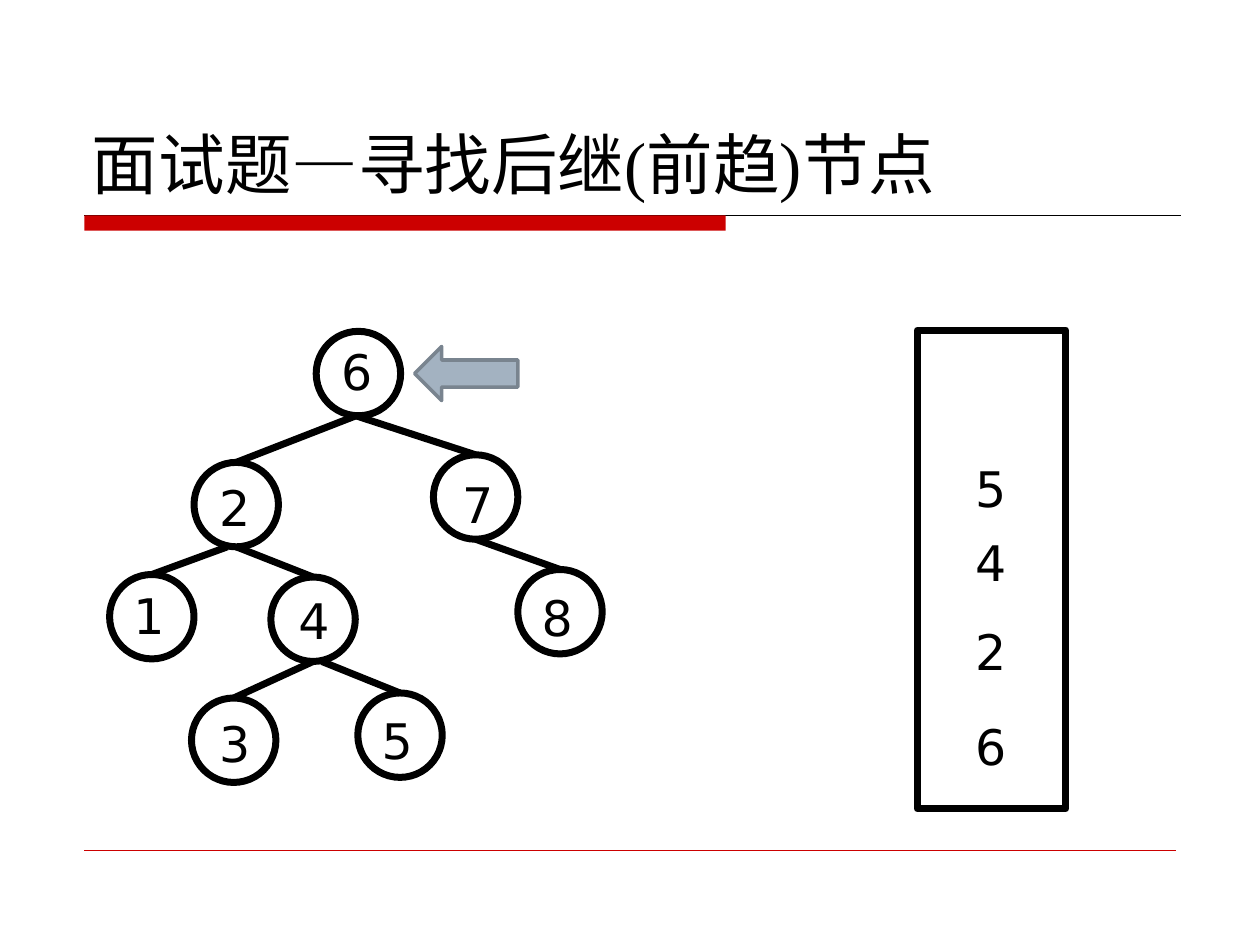
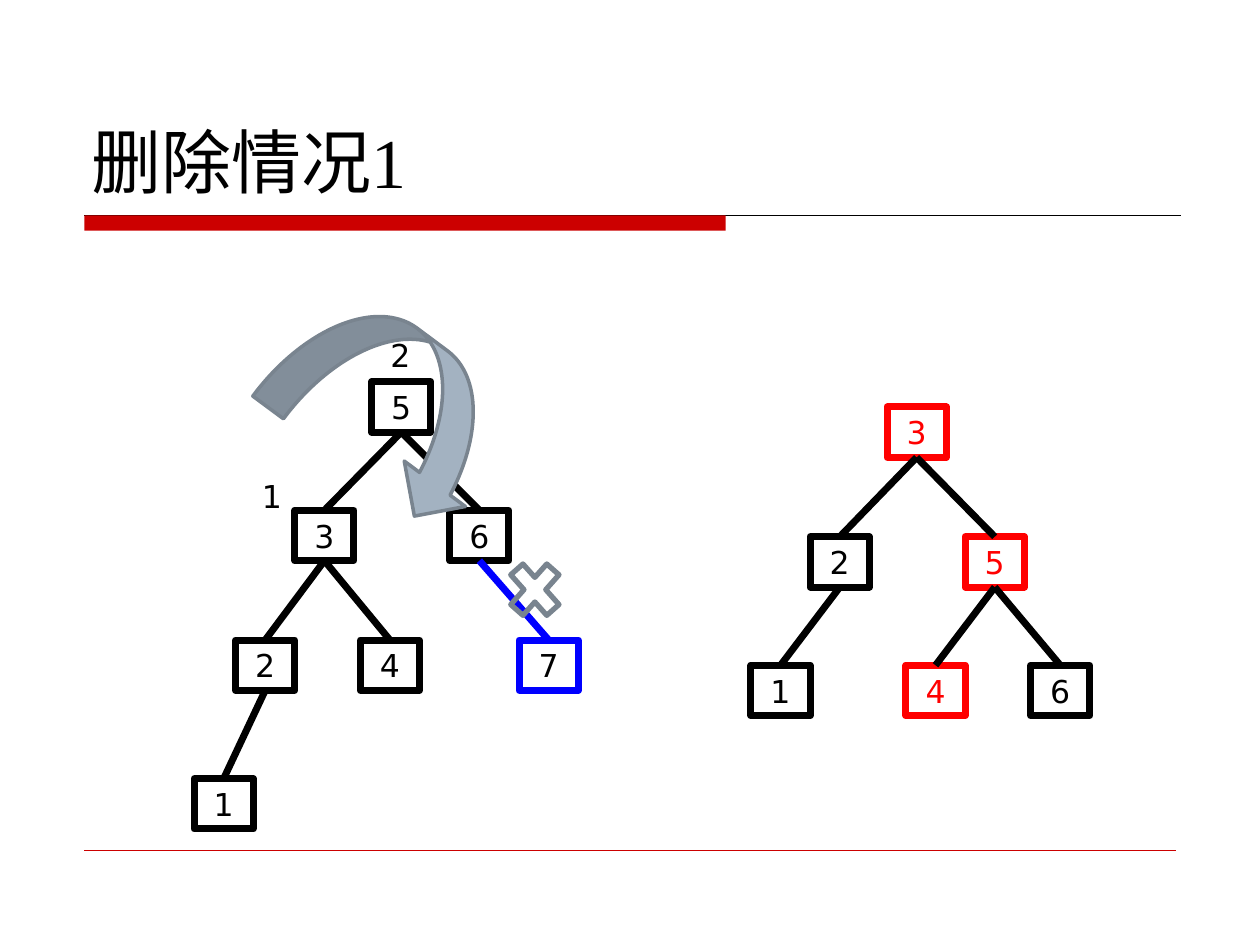
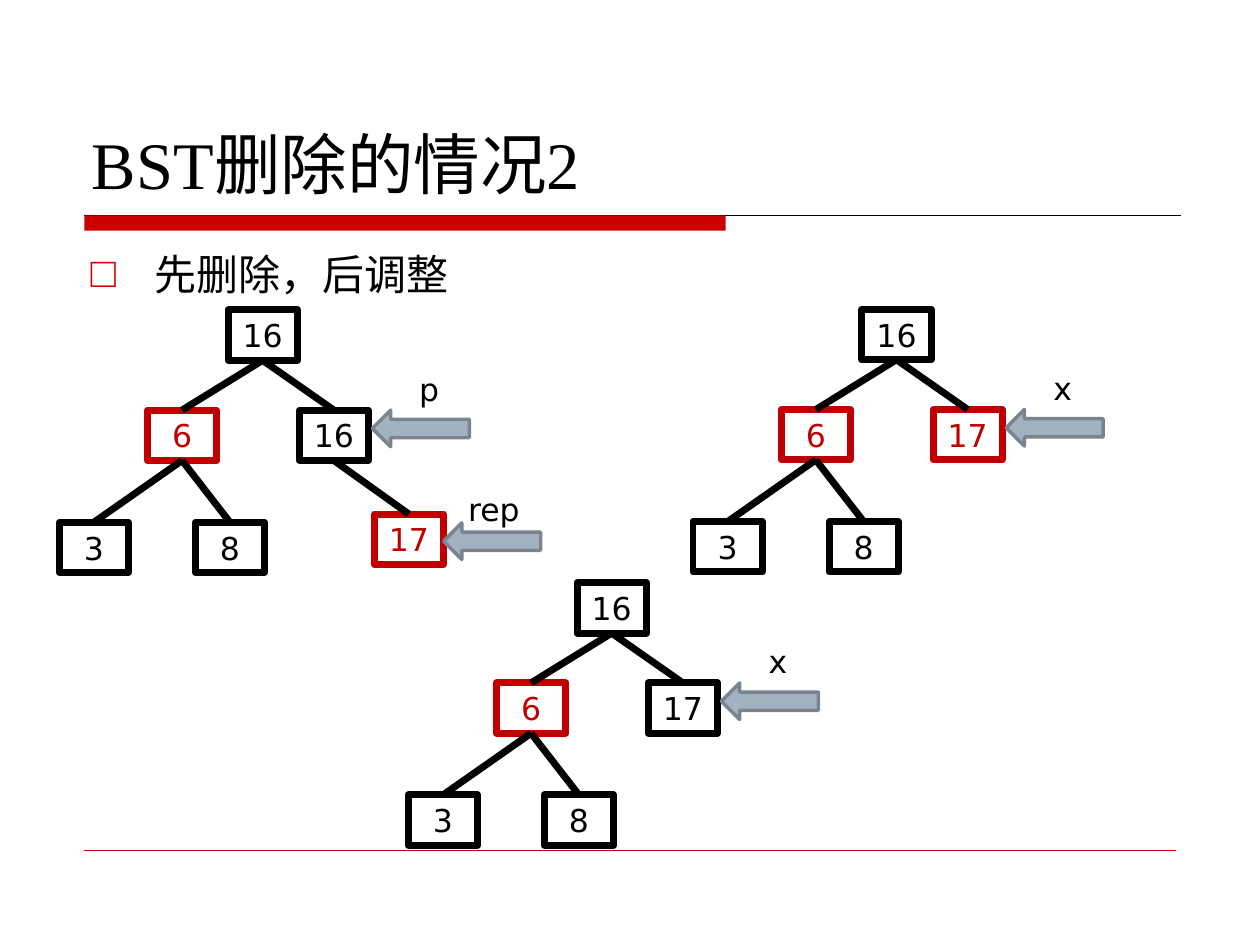
from dataclasses import dataclass
from typing import Optional

from lxml import etree
from pptx import Presentation
from pptx import util as u
from pptx.dml.color import RGBColor
from pptx.enum import shapes, text
from pptx.oxml.ns import qn

COLORS = {
    "black": "000000",
    "band": "CC0000",
    "crimson": "C00000",
    "red": "FF0000",
    "blue": "0000FF",
    "steel": "A3B2C1",
    "slate": "79848F",
}
TITLE_FONT = "Times New Roman"
LABEL_FONT = "DejaVu Sans"
SLIDE_WIDTH = u.Inches(10)
SLIDE_HEIGHT = u.Inches(7.5)
COLUMN = SLIDE_WIDTH / 100
ROW = SLIDE_HEIGHT / 75
SHAPE = shapes.MSO_SHAPE


@dataclass(frozen=True)
class Box:
    column: float
    row: float
    columns: float
    rows: float

    def lengths(self) -> tuple:
        return (round(self.column * COLUMN), round(self.row * ROW),
                round(self.columns * COLUMN), round(self.rows * ROW))


@dataclass(frozen=True)
class Node:
    label: str
    column: float
    row: float
    parent: Optional[int] = None
    color: str = "black"
    ink: str = "black"
    edge: str = "black"
    label_column: float = 0
    label_row: float = 0
    stem: float = 0


@dataclass(frozen=True)
class Pointer:
    label: str
    column: float
    row: float
    label_column: float = 2.1
    label_row: float = -3.7
    label_columns: float = 4.8


@dataclass(frozen=True)
class BoxTree:
    column: float
    row: float
    columns: float
    nodes: tuple
    pointers: tuple = ()


TITLE_BOX = Box(6.3, 3.3, 87.5, 13.3)
BODY_BOX = Box(6.2, 19.2, 87.5, 46.7)
BAND_BOX = Box(6.7, 17.1, 50.9, 1.2)
CIRCLE_SIZE = 6.7
BOX_ROWS = 4

CIRCLE_NODES = (
    Node("6", 25.1, 26.3, label_column=1, label_row=0.3),
    Node("2", 15.4, 36.7, 0, label_column=1, label_row=0.7, stem=-0.2),
    Node("1", 8.7, 45.6, 1, label_column=0.9, label_row=0.4, stem=-0.7),
    Node("4", 21.5, 45.8, 1, label_column=1.2, label_row=0.6),
    Node("3", 15.2, 55.4, 3, label_column=1.2, label_row=0.7),
    Node("5", 28.4, 55, 3, label_column=0.9, label_row=0.9, stem=0.7),
    Node("7", 34.4, 36.1, 0, label_column=1.3, label_row=1.1, stem=-0.2),
    Node("8", 41.1, 45.2, 6, label_column=0.9, label_row=0.9),
)
STACK_ROWS = {"6": 56.4, "2": 48.8, "4": 41.8, "5": 35.9}

UNBALANCED_TREE = BoxTree(29.5, 30.3, 4.7, (
    Node("5", 0, 0),
    Node("3", -6.1, 10.2, 0),
    Node("6", 6.2, 10.2, 0),
    Node("2", -10.8, 20.5, 1),
    Node("4", -0.9, 20.5, 1),
    Node("1", -14.1, 31.5, 3),
    Node("7", 11.7, 20.5, 2, color="blue", edge="blue"),
))
ROTATED_TREE = BoxTree(70.4, 32.3, 4.7, (
    Node("3", 0, 0, color="red", ink="red"),
    Node("2", -6.1, 10.3, 0),
    Node("5", 6.2, 10.3, 0, color="red", ink="red"),
    Node("1", -10.8, 20.5, 1),
    Node("6", 11.4, 20.5, 2),
    Node("4", 1.5, 20.5, 2, color="red", ink="red"),
))


def deletion_tree(column: float, row: float, right: str, color: str,
                  pointer: str, extra_nodes: tuple = (),
                  extra_pointers: tuple = ()) -> BoxTree:
    nodes = (
        Node("16", 0, 0),
        Node("6", -6.4, 7.95, 0, color="crimson", ink="crimson"),
        Node(right, 5.65, 7.95, 0, color=color, ink=color),
        Node("3", -13.4, 16.85, 1),
        Node("8", -2.6, 16.85, 1),
    )
    return BoxTree(column, row, 5.5, nodes + extra_nodes,
                   (Pointer(pointer, 11.45, 7.95),) + extra_pointers)


DELETION_TREES = (
    deletion_tree(
        18.1, 24.6, "16", "black", "p",
        (Node("17", 11.6, 16.2, 2, color="crimson", ink="crimson"),),
        (Pointer("rep", 17.1, 16.9, 0.3, -3.1, 7.4),)),
    deletion_tree(68.4, 24.55, "17", "crimson", "x"),
    deletion_tree(45.8, 46.25, "17", "black", "x"),
)


def rgb(color: str) -> RGBColor:
    return RGBColor.from_string(COLORS[color])


def format_runs(paragraph, font: str, size: float, color: str) -> None:
    for run in paragraph.runs:
        run.font.name = font
        run.font.size = u.Pt(size)
        run.font.color.rgb = rgb(color)


def add_shape(slide, kind, box: Box, line: Optional[str], width: float = 4,
              fill: Optional[str] = None, rotation: float = 0):
    shape = slide.shapes.add_shape(kind, *box.lengths())
    shape.shadow.inherit = False
    shape.rotation = rotation
    if fill:
        shape.fill.solid()
        shape.fill.fore_color.rgb = rgb(fill)
    else:
        shape.fill.background()
    if line:
        shape.line.color.rgb = rgb(line)
        shape.line.width = u.Pt(width)
    else:
        shape.line.fill.background()
    return shape


def add_arrow(slide, kind, box: Box, rotation: float = 0) -> None:
    add_shape(slide, kind, box, "slate", 2, "steel", rotation)


def add_line(slide, start: tuple, end: tuple, color: str, width: float = 4):
    connector = slide.shapes.add_connector(
        shapes.MSO_CONNECTOR.STRAIGHT,
        round(start[0] * COLUMN), round(start[1] * ROW),
        round(end[0] * COLUMN), round(end[1] * ROW))
    connector.line.color.rgb = rgb(color)
    connector.line.width = u.Pt(width)
    etree.SubElement(connector._element.spPr, qn("a:effectLst"))
    return connector


def set_label(shape, label: str, size: float, color: str, alignment) -> None:
    frame = shape.text_frame
    frame.word_wrap = True
    frame.auto_size = text.MSO_AUTO_SIZE.SHAPE_TO_FIT_TEXT
    frame.text = label
    paragraph = frame.paragraphs[0]
    paragraph.alignment = alignment
    format_runs(paragraph, LABEL_FONT, size, color)


def add_label(slide, label: str, box: Box, size: float,
              alignment=text.PP_ALIGN.LEFT) -> None:
    set_label(slide.shapes.add_textbox(*box.lengths()), label, size, "black", alignment)


def place(shape, box: Box) -> None:
    shape.left, shape.top, shape.width, shape.height = box.lengths()


def add_slide(presentation, title: str, size: float, layout: int = 5):
    slide = presentation.slides.add_slide(presentation.slide_layouts[layout])
    add_line(slide, (6.7, 17.1), (93.7, 17.1), "black", 0.75)
    add_shape(slide, SHAPE.RECTANGLE, BAND_BOX, None, fill="band")
    add_line(slide, (6.7, 67.5), (93.3, 67.5), "band", 0.25)
    place(slide.shapes.title, TITLE_BOX)
    frame = slide.shapes.title.text_frame
    frame.auto_size = text.MSO_AUTO_SIZE.NONE
    frame.vertical_anchor = text.MSO_ANCHOR.BOTTOM
    frame.text = title
    paragraph = frame.paragraphs[0]
    paragraph.alignment = text.PP_ALIGN.LEFT
    format_runs(paragraph, TITLE_FONT, size, "black")
    return slide


def set_bullet(slide, content: str) -> None:
    body = slide.placeholders[1]
    place(body, BODY_BOX)
    body.text_frame.auto_size = text.MSO_AUTO_SIZE.NONE
    body.text_frame.text = content
    paragraph = body.text_frame.paragraphs[0]
    properties = paragraph._p.get_or_add_pPr()
    properties.set("marL", str(u.Inches(0.51)))
    properties.set("indent", str(-u.Inches(0.51)))
    bullet_color = etree.SubElement(properties, qn("a:buClr"))
    etree.SubElement(bullet_color, qn("a:srgbClr"), val=COLORS["band"])
    etree.SubElement(properties, qn("a:buChar"), char="□")
    paragraph.space_before = u.Pt(0)
    format_runs(paragraph, TITLE_FONT, 24, "black")


def draw_circle_tree(slide, nodes: tuple) -> None:
    for node in nodes:
        circle = Box(node.column, node.row, CIRCLE_SIZE, CIRCLE_SIZE)
        add_shape(slide, SHAPE.OVAL, circle, node.color)
        label_box = Box(node.column + node.label_column,
                        node.row + node.label_row, 4.3, 5.7)
        add_label(slide, node.label, label_box, 28)
    for node in nodes:
        if node.parent is not None:
            parent = nodes[node.parent]
            start = (parent.column + CIRCLE_SIZE / 2 + node.stem,
                     parent.row + CIRCLE_SIZE)
            add_line(slide, start, (node.column + CIRCLE_SIZE / 2, node.row), node.edge)


def draw_box_tree(slide, tree: BoxTree) -> None:
    boxes = []
    for node in tree.nodes:
        box = Box(tree.column + node.column, tree.row + node.row, tree.columns, BOX_ROWS)
        shape = add_shape(slide, SHAPE.RECTANGLE, box, node.color)
        set_label(shape, node.label, 18, node.ink, text.PP_ALIGN.CENTER)
        boxes.append(shape)
    for node, child in zip(tree.nodes, boxes):
        if node.parent is not None:
            connector = add_line(slide, (0, 0), (1, 1), node.edge)
            connector.begin_connect(boxes[node.parent], 2)
            connector.end_connect(child, 0)
    for pointer in tree.pointers:
        column, row = tree.column + pointer.column, tree.row + pointer.row
        add_arrow(slide, SHAPE.RIGHT_ARROW, Box(column, row, 7.7, 2.9), 180)
        label_box = Box(column + pointer.label_column, row + pointer.label_row,
                        pointer.label_columns, BOX_ROWS)
        add_label(slide, pointer.label, label_box, 18, text.PP_ALIGN.CENTER)


def build_successor_slide(presentation) -> None:
    slide = add_slide(presentation, "面试题—寻找后继(前趋)节点", 38)
    draw_circle_tree(slide, CIRCLE_NODES)
    add_shape(slide, SHAPE.RECTANGLE, Box(72.8, 26.2, 11.8, 38), "black")
    add_arrow(slide, SHAPE.LEFT_ARROW, Box(32.9, 27.5, 8.2, 4.3))
    for value, row in STACK_ROWS.items():
        add_label(slide, value, Box(76.4, row, 4.7, 5.7), 28)


def build_rotation_slide(presentation) -> None:
    slide = add_slide(presentation, "删除情况1", 40)
    draw_box_tree(slide, UNBALANCED_TREE)
    add_shape(slide, SHAPE.MATH_MULTIPLY, Box(39.7, 43.7, 5.5, 6.2), "slate", 3)
    add_label(slide, "2", Box(30, 26.2, 3.4, 4), 18)
    add_label(slide, "1", Box(19.8, 37.4, 3.4, 4), 18)
    add_arrow(slide, SHAPE.CURVED_DOWN_ARROW, Box(21.8, 26.2, 19, 12.1), 36.6)
    draw_box_tree(slide, ROTATED_TREE)


def build_deletion_slide(presentation) -> None:
    slide = add_slide(presentation, "BST删除的情况2", 38, layout=1)
    set_bullet(slide, "先删除，后调整")
    for tree in DELETION_TREES:
        draw_box_tree(slide, tree)


def main() -> None:
    presentation = Presentation()
    presentation.slide_width = SLIDE_WIDTH
    presentation.slide_height = SLIDE_HEIGHT
    build_successor_slide(presentation)
    build_rotation_slide(presentation)
    build_deletion_slide(presentation)
    presentation.save("out.pptx")


if __name__ == "__main__":
    main()
